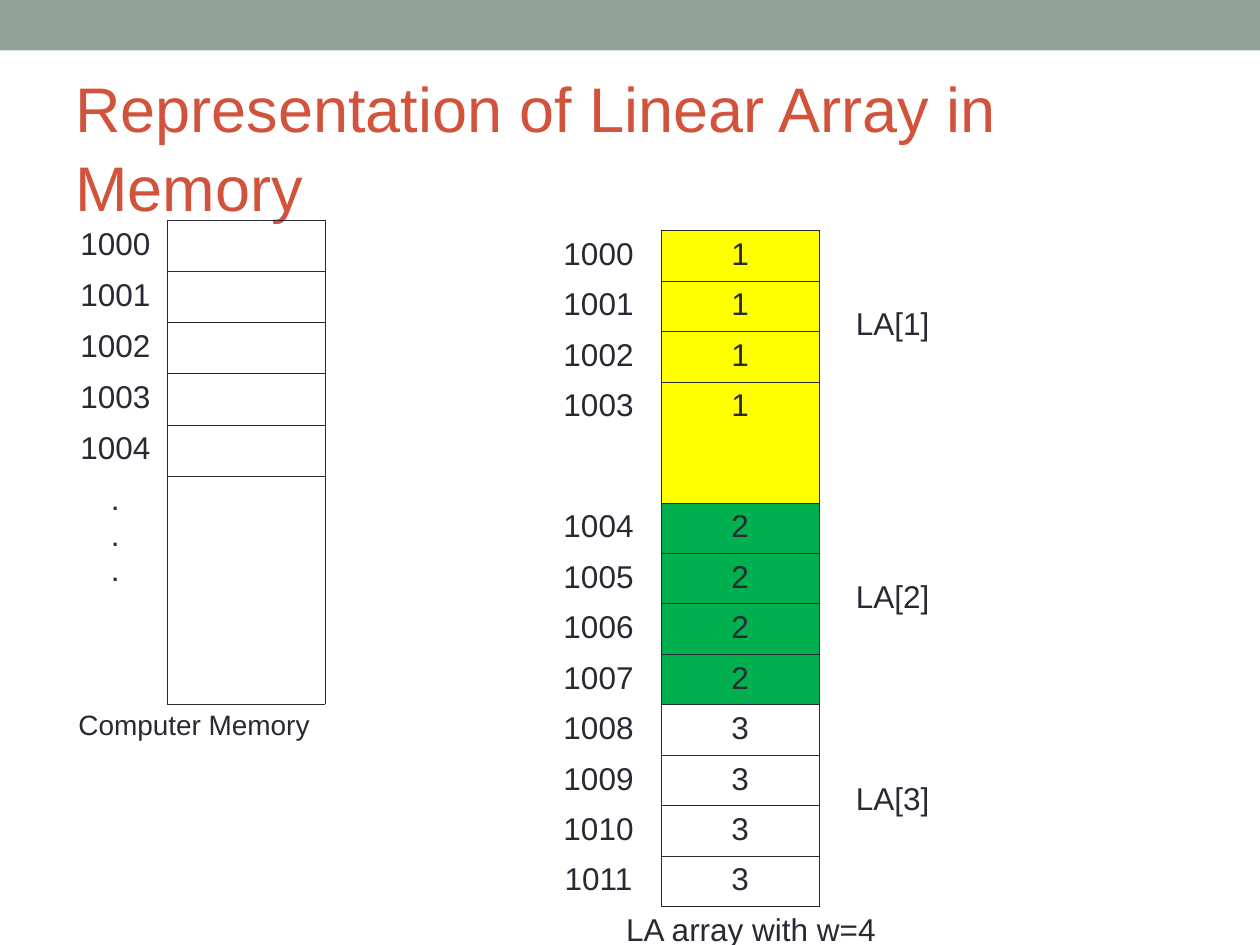
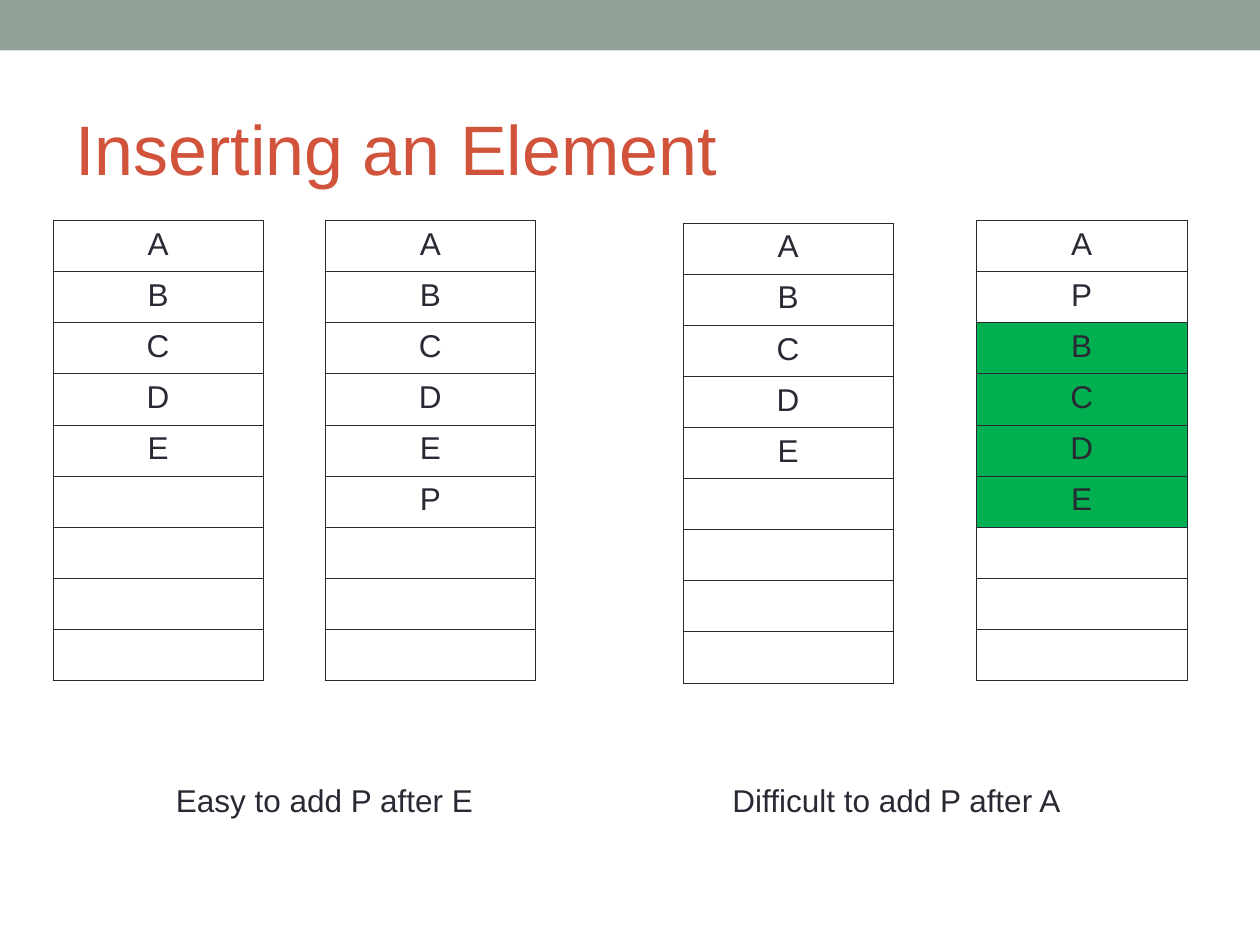
import pptx
import pptx.dml.color
import pptx.enum.shapes
import pptx.enum.text
import pptx.oxml
import pptx.oxml.ns
import pptx.util

Inches, Pt = pptx.util.Inches, pptx.util.Pt

COLORS = {
    "band": "93A299",
    "title": "D2533C",
    "ink": "292934",
    "yellow": "FFFF00",
    "green": "00B050",
}
FONT = "Arial"
NO_STYLE = "{2D5ABB26-0587-4C30-8999-92F81FD0307C}"
BORDER_WIDTH = Pt(0.45)
MEMORY_ROW = 3.65 / 9
ARRAY_ROW = 0.38
LIST_ROWS = 9


def rgb(name):
    """Return the named colour."""
    return pptx.dml.color.RGBColor.from_string(COLORS[name])


def write(p, text, size, color):
    """Add one formatted run to a paragraph."""
    r = p.add_run()
    r.text = text
    r.font.name = FONT
    r.font.size = Pt(size)
    r.font.color.rgb = rgb(color)


def add_base(prs, title, size):
    """Add a blank slide with the top band and a title."""
    s = prs.slides.add_slide(prs.slide_layouts[6])
    band = s.shapes.add_shape(
        pptx.enum.shapes.MSO_SHAPE.RECTANGLE, 0, 0, prs.slide_width, Inches(0.4))
    band.shadow.inherit = False
    band.fill.solid()
    band.fill.fore_color.rgb = rgb("band")
    band.line.fill.background()

    box = s.shapes.add_textbox(Inches(0.5), Inches(0.58), Inches(9), Inches(1.08))
    tf = box.text_frame
    tf.word_wrap = True
    tf.margin_top = Inches(0.11)
    tf.vertical_anchor = pptx.enum.text.MSO_ANCHOR.MIDDLE
    tf.paragraphs[0].line_spacing = 1.05
    write(tf.paragraphs[0], title, size, "title")
    return s


def add_grid(s, left, top, widths, heights):
    """Add an unstyled table with the given column widths and row heights."""
    frame = s.shapes.add_table(
        len(heights), len(widths), Inches(left), Inches(top),
        Inches(sum(widths)), Inches(sum(heights)))
    table = frame.table
    table.first_row = table.horz_banding = False
    table._tbl.tblPr[0].text = NO_STYLE
    for column, width in zip(table.columns, widths):
        column.width = Inches(width)
    for row, height in zip(table.rows, heights):
        row.height = Inches(height)
    return table


def set_cell(cell, text="", edges="", fill=None, size=18):
    """Fill a cell with centred lines of text and draw the edges among L, R, T and B."""
    if fill:
        cell.fill.solid()
        cell.fill.fore_color.rgb = rgb(fill)
    else:
        cell.fill.background()
    tf = cell.text_frame
    for i, line in enumerate(text.splitlines()):
        p = tf.add_paragraph() if i else tf.paragraphs[0]
        p.alignment = pptx.enum.text.PP_ALIGN.CENTER
        write(p, line, size, "ink")
    tc_pr = cell._tc.get_or_add_tcPr()
    for i, edge in enumerate(edges):
        tc_pr.insert(i, pptx.oxml.parse_xml(
            f'<a:ln{edge} {pptx.oxml.ns.nsdecls("a")} w="{BORDER_WIDTH}"><a:solidFill>'
            f'<a:srgbClr val="{COLORS["ink"]}"/></a:solidFill></a:ln{edge}>'))


def add_caption(table, text, size):
    """Merge the last row into one caption cell."""
    row = len(table.rows) - 1
    cell = table.cell(row, 0)
    cell.merge(table.cell(row, len(table.columns) - 1))
    set_cell(cell, text, size=size)


def add_computer_memory(s, left, top):
    """Add the column of empty, addressed memory cells."""
    addresses = [str(1000 + i) for i in range(5)] + [".\n.\n."]
    heights = [MEMORY_ROW] * 5 + [1.81, 0.5]
    table = add_grid(s, left, top, [0.83, 1.25], heights)
    for i, address in enumerate(addresses):
        set_cell(table.cell(i, 0), address, "R")
        set_cell(table.cell(i, 1), edges="LRT" if i == 5 else "LRTB")
    add_caption(table, "Computer Memory", 16)


def add_array_memory(s, left, top):
    """Add the memory of an array whose elements take four words each."""
    fills, words = ["yellow", "green", None], 4
    count = len(fills) * words
    heights = [ARRAY_ROW] * (count + 1)
    heights[3] = 0.94
    table = add_grid(s, left, top, [1, 1.25, 1.17], heights)
    for i in range(count):
        element = i // words
        set_cell(table.cell(i, 0), str(1000 + i), "R")
        set_cell(table.cell(i, 1), str(element + 1),
                 "LRT" if i == count - 1 else "LRTB", fills[element])
    for element in range(len(fills)):
        first = element * words
        label = table.cell(first, 2)
        label.merge(table.cell(first + words - 1, 2))
        label.margin_top = Inches(0.61)
        set_cell(label, f"LA[{element + 1}]", "L")
    add_caption(table, "LA array with w=4", 18)


def add_list(s, left, top, letters, moved=""):
    """Add a list of letters, with the moved ones in green."""
    table = add_grid(s, left, top, [1.67], [MEMORY_ROW] * LIST_ROWS)
    for i, letter in enumerate(letters.ljust(LIST_ROWS)):
        fill = "green" if letter in moved else None
        set_cell(table.cell(i, 0), letter.strip(), "LRTB", fill)


def add_list_captions(s, left, top):
    """Add the two captions under the pairs of lists."""
    table = add_grid(s, left, top, [4.31, 4.77], [0.4])
    for i, text in enumerate(["Easy to add P after E", "Difficult to add P after A"]):
        set_cell(table.cell(0, i), text)


def build_representation(prs):
    """Build the slide on arrays in memory."""
    s = add_base(prs, "Representation of Linear Array in Memory", 36)
    add_computer_memory(s, 0.5, 1.75)
    add_array_memory(s, 4.25, 1.83)


def build_insertion(prs):
    """Build the slide on inserting an element."""
    s = add_base(prs, "Inserting an Element", 40)
    add_list(s, 0.42, 1.75, "ABCDE")
    add_list(s, 2.58, 1.75, "ABCDEP")
    add_list(s, 5.42, 1.77, "ABCDE")
    add_list(s, 7.75, 1.75, "APBCDE", moved="BCDE")
    add_list_captions(s, 0.42, 6.17)


def main():
    """Build and save the presentation."""
    prs = pptx.Presentation()
    prs.slide_width, prs.slide_height = Inches(10), Inches(7.5)
    build_representation(prs)
    build_insertion(prs)
    prs.save("out.pptx")


if __name__ == "__main__":
    main()
